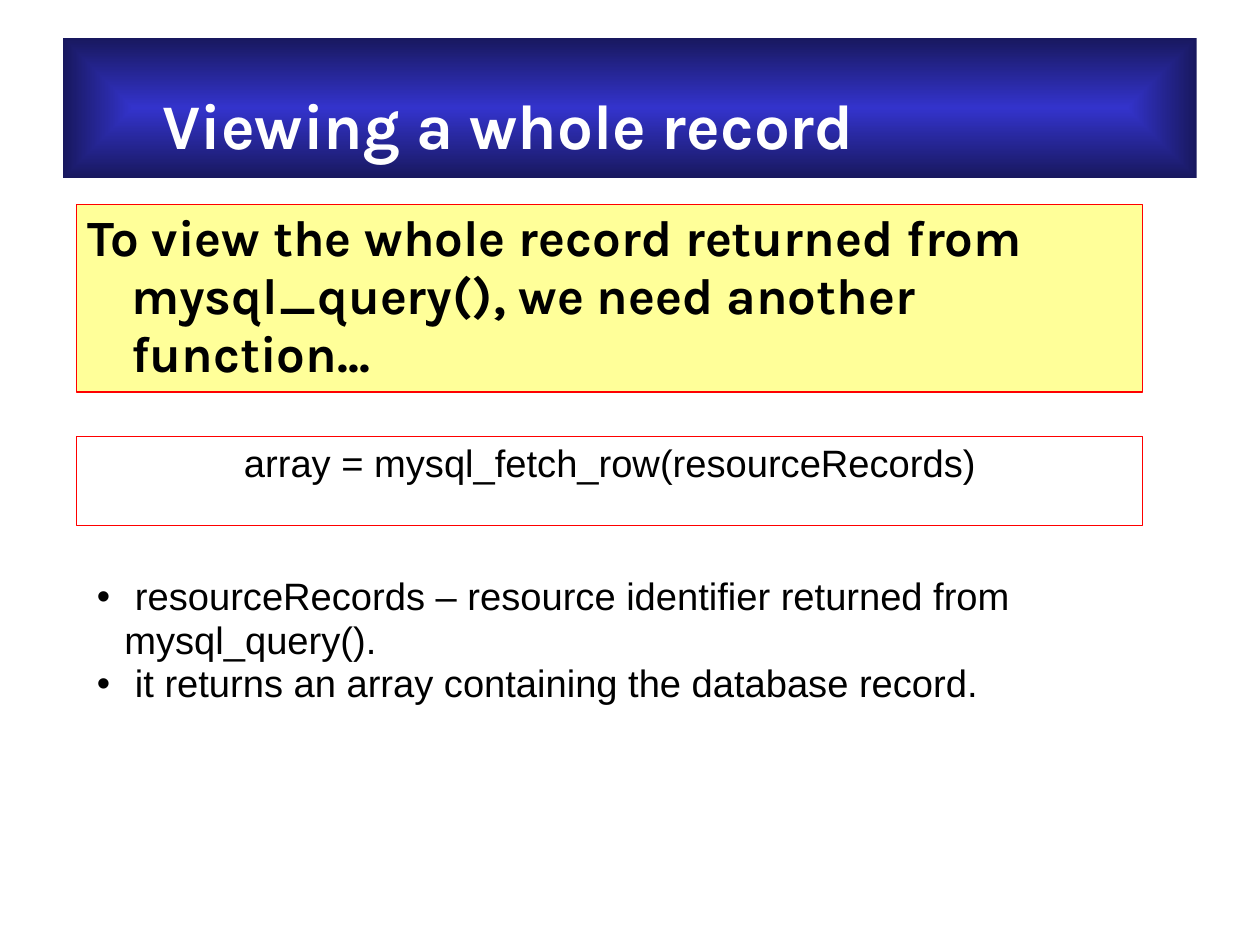
from dataclasses import dataclass

from lxml import etree
from pptx import Presentation
from pptx.dml.color import RGBColor
from pptx.enum.shapes import MSO_SHAPE
from pptx.enum.text import MSO_ANCHOR, MSO_AUTO_SIZE, PP_ALIGN
from pptx.oxml import parse_xml
from pptx.oxml.ns import nsdecls, qn
from pptx.util import Inches, Pt

RECTANGLE = MSO_SHAPE.RECTANGLE
TOP = MSO_ANCHOR.TOP
LEFT, CENTER = PP_ALIGN.LEFT, PP_ALIGN.CENTER
GROW = MSO_AUTO_SIZE.SHAPE_TO_FIT_TEXT
CM_PER_INCH = 2.54


@dataclass(frozen=True)
class Theme:
    heading_font: str = "Karla"
    body_font: str = "Arial"
    title_size: int = 40
    statement_size: int = 32
    body_size: int = 24
    line_spacing: float = 0.95
    ink: str = "000000"
    paper: str = "FFFFFF"
    note: str = "FFFF99"
    border: str = "FF0000"
    banner_center: str = "3333CC"
    banner_edge: str = "18185E"


THEME = Theme()


def prepare_frame(shape, insets=(0.1, 0.05, 0.1, 0.05)):
    frame = shape.text_frame
    frame.word_wrap = True
    frame.vertical_anchor = TOP
    (frame.margin_left, frame.margin_top,
     frame.margin_right, frame.margin_bottom) = map(Inches, insets)
    return frame


def add_rectangle(page, box):
    shape = page.shapes.add_shape(RECTANGLE, *map(Inches, box))
    shape.shadow.inherit = False
    return shape


def write(para, text, font, size, color, bold=False, align=LEFT):
    para.alignment = align
    para.line_spacing = THEME.line_spacing
    span = para.add_run()
    span.text = text
    span.font.name = font
    span.font.size = Pt(size)
    span.font.bold = bold
    span.font.color.rgb = RGBColor.from_string(color)


def set_hanging(para, indent):
    properties = para._p.get_or_add_pPr()
    properties.set("marL", str(Inches(indent)))
    properties.set("indent", str(-Inches(indent)))
    return properties


def add_bullet(para, indent):
    properties = set_hanging(para, indent)
    color = etree.SubElement(properties, qn("a:buClr"))
    etree.SubElement(color, qn("a:srgbClr"), val=THEME.ink)
    etree.SubElement(properties, qn("a:buFont"), typeface=THEME.body_font)
    etree.SubElement(properties, qn("a:buChar"), char="•")


def fill_from_center(shape, center, edge):
    """Fill with a rectangular gradient that runs from the middle outwards."""
    gradient = parse_xml(
        f'<a:gradFill {nsdecls("a")} rotWithShape="1"><a:gsLst>'
        f'<a:gs pos="0"><a:srgbClr val="{center}"/></a:gs>'
        f'<a:gs pos="100000"><a:srgbClr val="{edge}"/></a:gs></a:gsLst>'
        '<a:path path="rect"><a:fillToRect l="50000" t="50000" r="50000" b="50000"/>'
        '</a:path></a:gradFill>')
    shape._element.spPr.find(qn("a:prstGeom")).addnext(gradient)


def add_banner(page, box, title):
    banner = add_rectangle(page, box)
    fill_from_center(banner, THEME.banner_center, THEME.banner_edge)
    banner.line.fill.background()
    frame = prepare_frame(banner, (0.87, 0.47, 0, 0))
    write(frame.paragraphs[0], title, THEME.heading_font, THEME.title_size,
          THEME.paper, bold=True)


def add_panel(page, box, fill, text, font, size, bold=False, align=LEFT):
    panel = add_rectangle(page, box)
    panel.fill.solid()
    panel.fill.fore_color.rgb = RGBColor.from_string(fill)
    panel.line.color.rgb = RGBColor.from_string(THEME.border)
    panel.line.width = Pt(0.75)
    para = prepare_frame(panel).paragraphs[0]
    set_hanging(para, 0.38)
    para.space_after = Pt(14.3)
    write(para, text, font, size, THEME.ink, bold, align)


def add_bullet_list(page, box, items):
    frame = prepare_frame(page.shapes.add_textbox(*map(Inches, box)))
    frame.auto_size = GROW
    for index, item in enumerate(items):
        para = frame.add_paragraph() if index else frame.paragraphs[0]
        add_bullet(para, 0.24)
        write(para, item, THEME.body_font, THEME.body_size, THEME.ink)


def main():
    deck = Presentation()
    deck.slide_width = Inches(28 / CM_PER_INCH)
    deck.slide_height = Inches(21 / CM_PER_INCH)
    page = deck.slides.add_slide(deck.slide_layouts[6])

    add_banner(page, (0.55, 0.33, 9.92, 1.23), "Viewing a whole record")
    add_panel(page, (0.67, 1.79, 9.33, 1.64), THEME.note,
              "To view the whole record returned from mysql_query(), "
              "we need another function...",
              THEME.heading_font, THEME.statement_size, bold=True)
    add_bullet_list(page, (0.75, 4.99, 9.46, 1.24), [
        " resourceRecords – resource identifier returned from mysql_query().",
        " it returns an array containing the database record.",
    ])
    add_panel(page, (0.67, 3.82, 9.33, 0.78), THEME.paper,
              "array = mysql_fetch_row(resourceRecords)",
              THEME.body_font, THEME.body_size, align=CENTER)
    deck.save("out.pptx")


if __name__ == "__main__":
    main()
